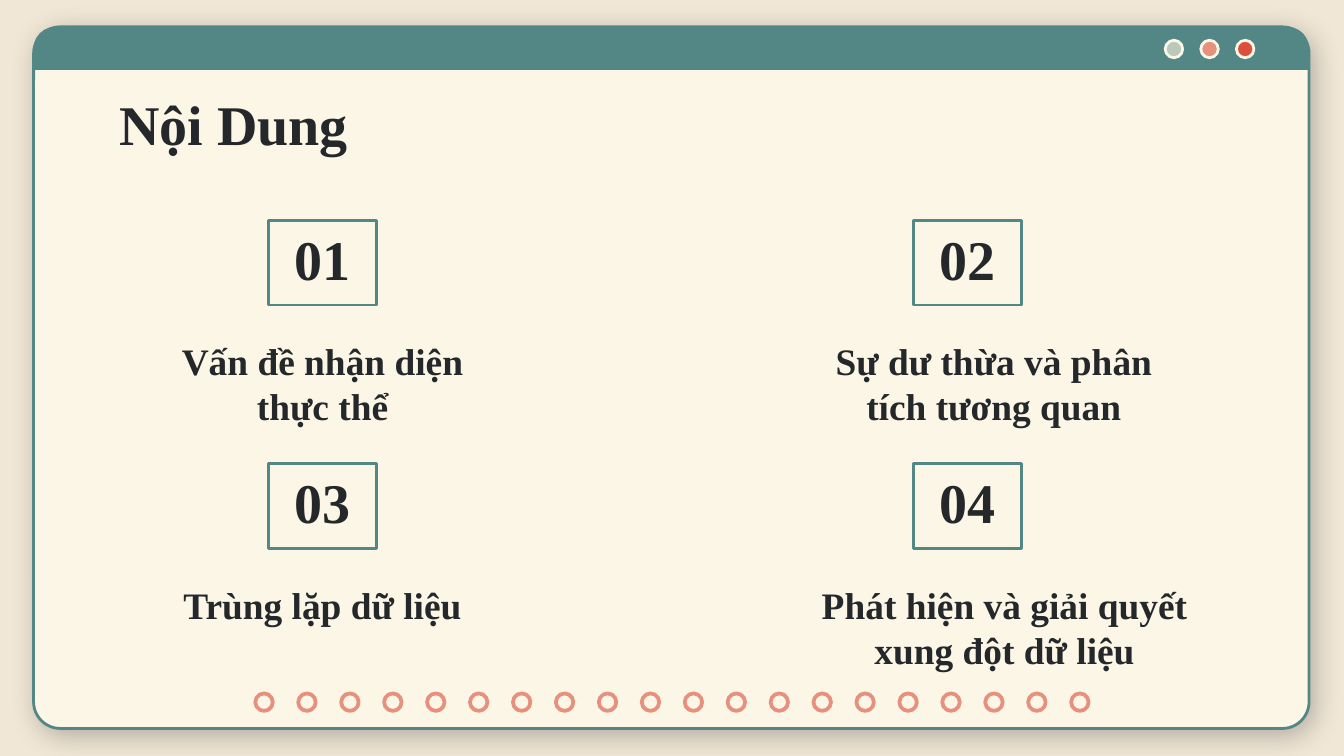
from lxml.etree import SubElement
from pptx import Presentation
from pptx.dml.color import RGBColor
from pptx.enum.shapes import MSO_SHAPE
from pptx.enum.text import MSO_ANCHOR, PP_ALIGN
from pptx.oxml.ns import qn
from pptx.util import Inches, Pt

TEAL, CREAM, CORAL, INK = "538786", "FCF6E7", "E6907D", "24282A"
BACKGROUND = "F1E7D6"
FONT = "Times New Roman"

HEADING = "Nội Dung"
# number, topic, left and width of the topic text
TOPICS = [
    ("01", "Vấn đề nhận diện thực thể", 1.14, 2.52),
    ("02", "Sự dư thừa và phân tích tương quan", 5.94, 2.91),
    ("03", "Trùng lặp dữ liệu", 1.14, 2.52),
    ("04", "Phát hiện và giải quyết xung đột dữ liệu", 5.95, 3.05),
]
WINDOW_BUTTONS = ["BBC8BA", CORAL, "DD4F3D"]

SLIDE_WIDTH = 10
SLIDE_HEIGHT = SLIDE_WIDTH * 9 / 16
WINDOW_LEFT, WINDOW_TOP, WINDOW_WIDTH = 0.25, 0.2, 9.49
NUMBER_LEFT, NUMBER_TOP = 2, 1.64
COLUMN_STEP, ROW_STEP = 4.8, 1.81
TOPIC_DROP = 0.78
DOT_SIZE = 0.13
BUTTON_LEFT, BUTTON_RIGHT = 8.67, 9.2
RING_COUNT, RING_LEFT, RING_RIGHT = 20, 1.9, 7.97


def color(hex_value):
    return RGBColor.from_string(hex_value)


def add_box(slide, preset, place, fill=None, line=None, line_width=1.5):
    box = slide.shapes.add_shape(preset, *map(Inches, place))
    box.shadow.inherit = False
    if fill:
        box.fill.solid()
        box.fill.fore_color.rgb = color(fill)
    else:
        box.fill.background()
    if line:
        box.line.color.rgb = color(line)
        box.line.width = Pt(line_width)
    else:
        box.line.fill.background()
    return box


def write(holder, text, size, align=PP_ALIGN.LEFT, anchor=MSO_ANCHOR.TOP):
    frame = holder.text_frame
    frame.word_wrap = True
    frame.vertical_anchor = anchor
    for side in ("left", "top", "right", "bottom"):
        setattr(frame, f"margin_{side}", Inches(0.1))
    paragraph = frame.paragraphs[0]
    paragraph.alignment = align
    run = paragraph.add_run()
    run.text = text
    for name, value in {"name": FONT, "size": Pt(size), "bold": True}.items():
        setattr(run.font, name, value)
    run.font.color.rgb = color(INK)


def add_text(slide, place, *text_format):
    write(slide.shapes.add_textbox(*map(Inches, place)), *text_format)


def cast_shadow(box):
    effects = box._element.spPr.find(qn("a:effectLst"))
    shadow = SubElement(effects, qn("a:outerShdw"), blurRad=str(Pt(14.6)),
                        dist=str(Pt(3.8)), dir=str(50 * 60000),
                        algn="bl", rotWithShape="0")
    tint = SubElement(shadow, qn("a:srgbClr"), val=INK)
    SubElement(tint, qn("a:alpha"), val="30000")


def add_dots(slide, left, right, top, formats):
    """Spread one dot per format evenly from left to right."""
    step = (right - left) / (len(formats) - 1)
    for i, dot_format in enumerate(formats):
        place = (left + i * step, top, DOT_SIZE, DOT_SIZE)
        add_box(slide, MSO_SHAPE.OVAL, place, **dot_format)


def add_window(slide):
    window = add_box(slide, MSO_SHAPE.ROUNDED_RECTANGLE,
                     (WINDOW_LEFT, WINDOW_TOP, WINDOW_WIDTH, 5.22), CREAM, TEAL)
    window.adjustments[0] = 0.038
    cast_shadow(window)
    bar = add_box(slide, MSO_SHAPE.ROUND_2_SAME_RECTANGLE,
                  (WINDOW_LEFT, WINDOW_TOP, WINDOW_WIDTH, 0.32), TEAL)
    bar.adjustments[0] = 0.5
    bar.adjustments[1] = 0
    add_dots(slide, BUTTON_LEFT, BUTTON_RIGHT, 0.3,
             [{"fill": fill, "line": CREAM} for fill in WINDOW_BUTTONS])


def add_topics(slide):
    for i, (number, topic, left, width) in enumerate(TOPICS):
        row, column = divmod(i, 2)
        top = NUMBER_TOP + row * ROW_STEP
        number_box = add_box(
            slide, MSO_SHAPE.RECTANGLE,
            (NUMBER_LEFT + column * COLUMN_STEP, top, 0.8, 0.63), line=TEAL)
        write(number_box, number, 30, PP_ALIGN.CENTER, MSO_ANCHOR.BOTTOM)
        add_text(slide, (left, top + TOPIC_DROP, width, 0.56),
                 topic, 20, PP_ALIGN.CENTER)


def main():
    deck = Presentation()
    deck.slide_width, deck.slide_height = Inches(SLIDE_WIDTH), Inches(SLIDE_HEIGHT)
    slide = deck.slides.add_slide(deck.slide_layouts[6])
    slide.background.fill.solid()
    slide.background.fill.fore_color.rgb = color(BACKGROUND)

    add_window(slide)
    add_text(slide, (0.79, 0.57, 8.43, 0.63), HEADING, 30)
    add_topics(slide)
    add_dots(slide, RING_LEFT, RING_RIGHT, 5.16,
             [{"line": CORAL, "line_width": 2}] * RING_COUNT)
    deck.save("out.pptx")


if __name__ == "__main__":
    main()
